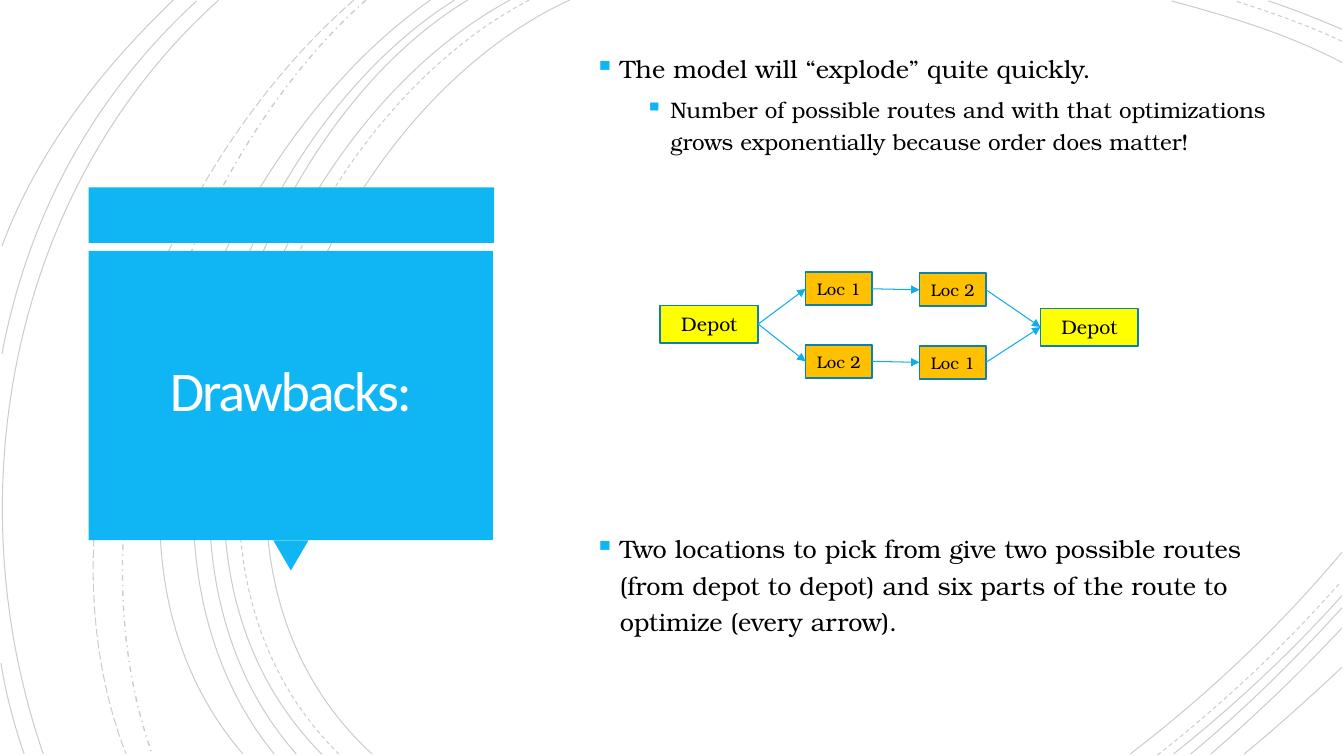
from dataclasses import dataclass

from lxml import etree
from pptx import Presentation
from pptx.dml.color import RGBColor
from pptx.enum.dml import MSO_LINE
from pptx.enum.shapes import MSO_CONNECTOR, MSO_SHAPE
from pptx.enum.text import MSO_ANCHOR, PP_ALIGN
from pptx.oxml.ns import qn
from pptx.util import Inches, Pt

RECTANGLE, TRIANGLE = MSO_SHAPE.RECTANGLE, MSO_SHAPE.ISOSCELES_TRIANGLE
STRAIGHT = MSO_CONNECTOR.STRAIGHT
MIDDLE = MSO_ANCHOR.MIDDLE
LEFT, CENTER = PP_ALIGN.LEFT, PP_ALIGN.CENTER
SOLID, DASH = MSO_LINE.SOLID, MSO_LINE.DASH
DASH_DOT, LONG_DASH = MSO_LINE.DASH_DOT, MSO_LINE.LONG_DASH
LEFT_SIDE, RIGHT_SIDE = 1, 3

ARCS = [
    ((5.65, 0), (3.15, 1.15), (1.43, 5.4), (3.69, 7.48), SOLID),
    ((13.31, 0.62), (12.78, 0.34), (12.18, 0.16), (11.62, 0.01), SOLID),
    ((11.21, 7.48), (11.97, 6.9), (12.69, 6.22), (13.31, 5.48), SOLID),
    ((5.25, 0), (2.85, 1.25), (1.23, 5.37), (3.36, 7.48), DASH),
    ((13.31, 0.41), (12.97, 0.25), (12.6, 0.12), (12.25, 0.01), DASH),
    ((11.48, 7.49), (12.13, 6.98), (12.75, 6.4), (13.3, 5.77), DASH),
    ((5.06, 0), (2.7, 1.27), (1.1, 5.37), (3.19, 7.48), SOLID),
    ((13.31, 0.29), (13.07, 0.19), (12.83, 0.09), (12.58, 0.01), SOLID),
    ((11.64, 7.48), (12.23, 7.01), (12.8, 6.48), (13.31, 5.91), SOLID),
    ((4.64, 0), (2.44, 1.33), (1.1, 5.41), (2.94, 7.48), SOLID),
    ((11.81, 7.48), (12.34, 7.04), (12.84, 6.55), (13.31, 6.03), SOLID),
    ((4.51, 0), (2.31, 1.38), (0.97, 5.33), (2.72, 7.48), SOLID),
    ((12.01, 7.48), (12.46, 7.09), (12.9, 6.67), (13.31, 6.23), SOLID),
    ((4.27, 0), (2.17, 1.47), (0.53, 5.29), (2.41, 7.48), SOLID),
    ((12.34, 7.48), (12.67, 7.21), (12.99, 6.92), (13.31, 6.62), SOLID),
    ((3.63, 0), (1.76, 1.66), (0.65, 5.09), (1.51, 7.48), DASH_DOT),
    ((3.51, 0), (1.57, 1.69), (0.29, 4.99), (1.25, 7.48), LONG_DASH),
    ((2.17, 0), (0.11, 1.85), (-0.46, 4.9), (0.43, 7.48), SOLID),
    ((1.95, 0.01), (0.92, 0.96), (0.28, 2.14), (0.02, 3.51), SOLID),
    ((0.01, 6.58), (0.06, 6.89), (0.14, 7.19), (0.24, 7.48), SOLID),
    ((1.72, 0), (1, 0.69), (0.37, 1.5), (0.02, 2.44), SOLID),
]


@dataclass(frozen=True)
class Theme:
    """Colours, fonts and type sizes of the slide."""
    accent: str = "10B6F4"
    arrow: str = "0FAEE9"
    outline: str = "0B81AD"
    depot: str = "FFFF00"
    location: str = "FFC000"
    ink: str = "000000"
    title_ink: str = "FFFEFF"
    title_font: str = "Calibri"
    body_font: str = "TeX Gyre Bonum"
    title_size: float = 40
    body_size: float = 18
    detail_size: float = 16
    depot_size: float = 14
    location_size: float = 12


def add_element(parent, tag, **attributes):
    """Append a drawing element and return it."""
    return etree.SubElement(parent, qn(tag), attributes)


def write_text(paragraph, text, *, font, size, color, align=LEFT, line_spacing=None,
               space_before=None, tracking=None):
    """Write formatted text into a paragraph."""
    paragraph.alignment = align
    if line_spacing:
        paragraph.line_spacing = line_spacing
    if space_before:
        paragraph.space_before = Pt(space_before)
    run = paragraph.add_run()
    run.text = text
    run.font.name = font
    run.font.size = Pt(size)
    run.font.color.rgb = RGBColor.from_string(color)
    if tracking:
        run.font._element.set("spc", str(int(tracking * 100)))


class SlideBuilder:
    """Draws the elements of one slide in one theme."""

    def __init__(self, slide, theme):
        """Keep the slide and its theme."""
        self.slide = slide
        self.theme = theme

    def arc(self, points, dash):
        """Draw a faint cubic curve through its start, two controls and end."""
        start, *others = [(Inches(x), Inches(y)) for x, y in points]
        builder = self.slide.shapes.build_freeform(*start)
        builder.add_line_segments(others, close=False)
        shape = builder.convert_to_shape()
        shape.shadow.inherit = False
        shape.fill.background()
        shape.line.color.rgb = RGBColor.from_string(self.theme.ink)
        shape.line.width = Pt(1 if dash == DASH_DOT else 0.75)
        shape.line.dash_style = dash
        line_color = shape._element.spPr.find(".//" + qn("a:ln")).find(".//" + qn("a:srgbClr"))
        add_element(line_color, "a:alpha", val="20000")
        outline = shape._element.spPr.find(".//" + qn("a:path"))
        curve = add_element(outline, "a:cubicBezTo")
        for segment in outline.findall(qn("a:lnTo")):
            curve.append(segment[0])
            outline.remove(segment)

    def block(self, left, top, width, height, fill, kind=RECTANGLE, outline=None):
        """Add a filled preset shape."""
        shape = self.slide.shapes.add_shape(
            kind, Inches(left), Inches(top), Inches(width), Inches(height))
        shape.shadow.inherit = False
        shape.fill.solid()
        shape.fill.fore_color.rgb = RGBColor.from_string(fill)
        if outline:
            shape.line.color.rgb = RGBColor.from_string(outline)
            shape.line.width = Pt(1.25)
        else:
            shape.line.fill.background()
        return shape

    def node(self, text, left, top, width, height, fill, size):
        """Add a labelled box of the route diagram."""
        shape = self.block(left, top, width, height, fill, outline=self.theme.outline)
        shape.text_frame.vertical_anchor = MIDDLE
        write_text(shape.text_frame.paragraphs[0], text, font=self.theme.body_font,
                   size=size, color=self.theme.ink, align=CENTER)
        return shape

    def depot(self, left, top):
        """Add a depot box."""
        return self.node("Depot", left, top, 0.97, 0.37, self.theme.depot, self.theme.depot_size)

    def arrow(self, source, target):
        """Join the right side of one box to the left side of another."""
        connector = self.slide.shapes.add_connector(STRAIGHT, 0, 0, 0, 0)
        connector.begin_connect(source, RIGHT_SIDE)
        connector.end_connect(target, LEFT_SIDE)
        connector.line.color.rgb = RGBColor.from_string(self.theme.arrow)
        connector.line.width = Pt(0.75)
        properties = connector._element.spPr
        add_element(properties.find(qn("a:ln")), "a:tailEnd", type="triangle")
        add_element(properties, "a:effectLst")

    def text_box(self, left, top, width, height):
        """Add a wrapping, vertically centred text frame."""
        shape = self.slide.shapes.add_textbox(
            Inches(left), Inches(top), Inches(width), Inches(height))
        frame = shape.text_frame
        frame.word_wrap = True
        frame.vertical_anchor = MIDDLE
        return frame

    def title(self, text):
        """Add the slide title."""
        frame = self.text_box(0.97, 2.57, 3.83, 2.69)
        frame.margin_left = frame.margin_right = Inches(0.25)
        frame.margin_top = frame.margin_bottom = Inches(0.25)
        write_text(frame.paragraphs[0], text, font=self.theme.title_font,
                   size=self.theme.title_size, color=self.theme.title_ink,
                   align=CENTER, line_spacing=0.85, tracking=-1.5)

    def bullets(self, top, items):
        """Add a bulleted list of (level, text) items."""
        frame = self.text_box(5.8, top, 6.87, 1.49)
        for index, (level, text) in enumerate(items):
            paragraph = frame.add_paragraph() if index else frame.paragraphs[0]
            paragraph.level = level
            properties = paragraph._p.get_or_add_pPr()
            properties.set("marL", str(Inches(0.25 + 0.5 * level)))
            properties.set("indent", str(Inches(-0.25)))
            add_element(add_element(properties, "a:buClr"), "a:srgbClr", val=self.theme.accent)
            add_element(properties, "a:buSzPct", val="110000")
            add_element(properties, "a:buChar", char="▪")
            write_text(paragraph, text, font=self.theme.body_font, color=self.theme.ink,
                       size=self.theme.detail_size if level else self.theme.body_size,
                       line_spacing=1.2, space_before=5 if index else None)


def main():
    """Build and save the slide."""
    presentation = Presentation()
    presentation.slide_width, presentation.slide_height = Inches(13.33), Inches(7.5)
    theme = Theme()
    builder = SlideBuilder(presentation.slides.add_slide(presentation.slide_layouts[6]), theme)

    for *points, dash in ARCS:
        builder.arc(points, dash)

    builder.block(0.88, 1.86, 4.02, 0.55, theme.accent)
    builder.block(2.71, 5.36, 0.35, 0.3, theme.accent, kind=TRIANGLE).rotation = 180
    builder.block(0.88, 2.49, 4.01, 2.87, theme.accent)
    builder.title("Drawbacks:")
    builder.bullets(0.26, [
        (0, "The model will “explode” quite quickly."),
        (1, "Number of possible routes and with that optimizations grows exponentially "
            "because order does matter!"),
    ])

    start, finish = builder.depot(6.55, 3.03), builder.depot(10.32, 3.06)
    for row, names in enumerate([("Loc 1", "Loc 2"), ("Loc 2", "Loc 1")]):
        stops = [
            builder.node(name, 7.99 + 1.13 * column, 2.7 + 0.72 * row + 0.01 * column,
                         0.66, 0.33, theme.location, theme.location_size)
            for column, name in enumerate(names)
        ]
        route = [start, *stops, finish]
        for source, target in zip(route, route[1:]):
            builder.arrow(source, target)

    builder.bullets(5.03, [
        (0, "Two locations to pick from give two possible routes (from depot to depot) "
            "and six parts of the route to optimize (every arrow)."),
    ])
    presentation.save("out.pptx")


if __name__ == "__main__":
    main()
